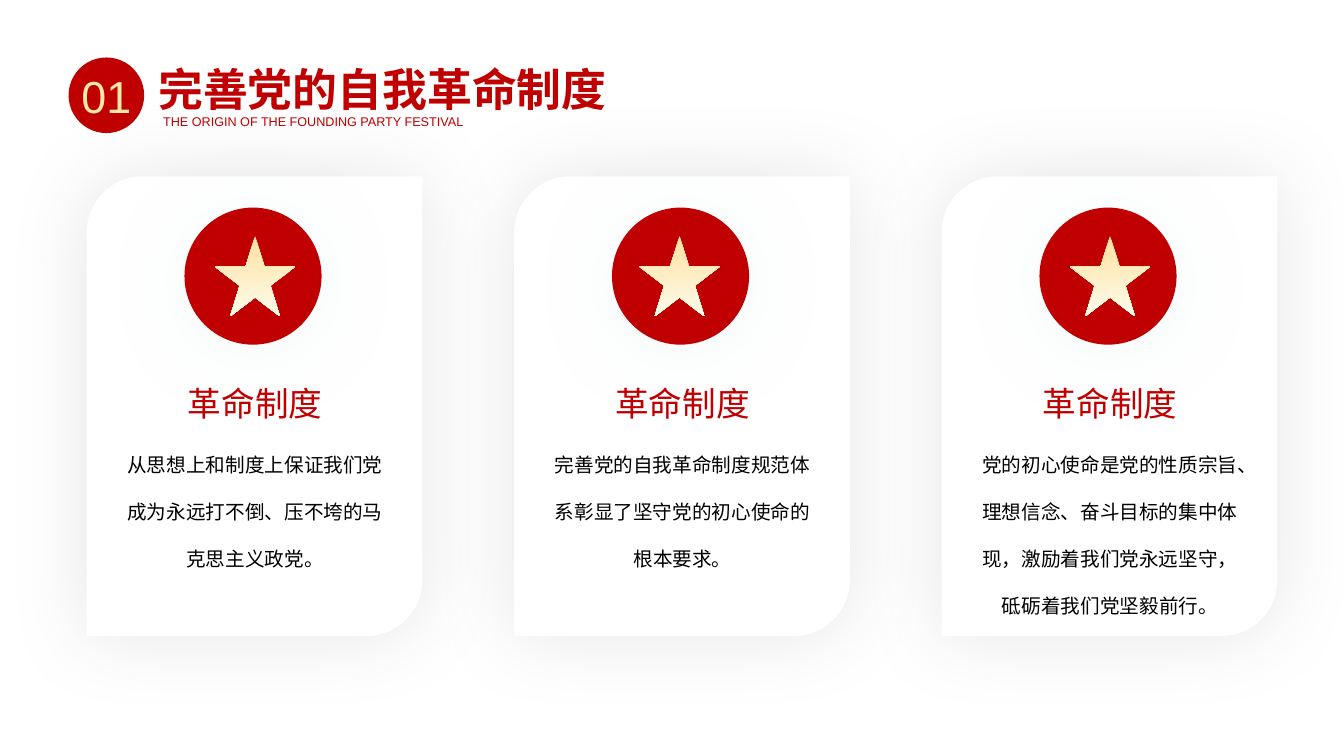
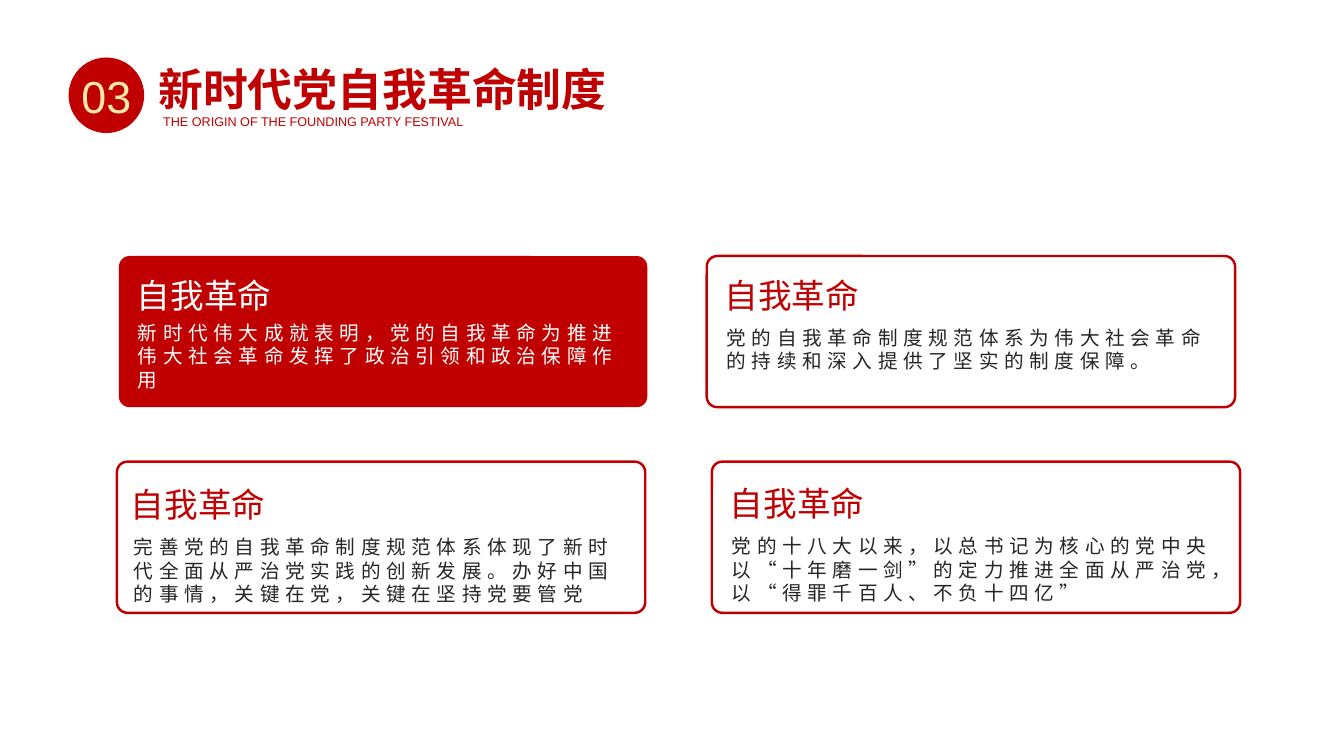
"""Build two slides on the Party's self-revolution system: three cards and four panels."""
from dataclasses import dataclass

from lxml import etree
from pptx import Presentation
from pptx import util as u
from pptx.dml.color import RGBColor
from pptx.enum import shapes, text
from pptx.oxml.ns import qn

PX = 9144
SLIDE = (1333, 750)


@dataclass(frozen=True)
class Theme:
    font: str = "Arial"
    red: str = "C00000"
    cream: str = "FFE9A8"
    white: str = "FFFFFF"
    black: str = "000000"
    ink: str = "262626"
    star: tuple = ("FFE0A2", "FEFDEB")
    title: int = 32
    heading: int = 24
    body: int = 14
    caption: int = 9
    outline: float = 1.75
    card_shadow: tuple = ("000000", 10, 60, 0, 0)
    medal_shadow: tuple = ("C5E3E3", 15, 60, 5, 90)


T = Theme()
FORM = shapes.MSO_SHAPE
ALIGN = text.PP_ALIGN

CAPTION = "THE ORIGIN OF THE FOUNDING PARTY FESTIVAL"

CARDS_TITLE = ("01", "完善党的自我革命制度")
CARD_HEADING = "革命制度"
CARDS = [
    ("从思想上和制度上保证我们党成为永远打不倒、压不垮的马克思主义政党。", 127),
    ("完善党的自我革命制度规范体系彰显了坚守党的初心使命的根本要求。", 124),
    ("党的初心使命是党的性质宗旨、理想信念、奋斗目标的集中体现，激励着我们党永远坚守，砥砺着我们党坚毅前行。", 127),
]
CARD_LEFT, CARD_TOP, CARD_STEP = 86, 175, 424

PANELS_TITLE = ("03", "新时代党自我革命制度")
PANEL_HEADING = "自我革命"
PANELS = [
    dict(at=(118, 254), heading=(8, 14), body=(9, 59), solid=True,
         words="新时代伟大成就表明，党的自我革命为推进伟大社会革命发挥了政治引领和政治保障作用"),
    dict(at=(116, 458), heading=(4, 17), body=(7, 68), solid=False,
         words="完善党的自我革命制度规范体系体现了新时代全面从严治党实践的创新发展。办好中国的事情，关键在党，关键在坚持党要管党"),
    dict(at=(701, 254), heading=(8, 14), body=(10, 64), solid=False,
         words="党的自我革命制度规范体系为伟大社会革命的持续和深入提供了坚实的制度保障。"),
    dict(at=(706, 458), heading=(8, 16), body=(10, 67), solid=False,
         words="党的十八大以来，以总书记为核心的党中央以“十年磨一剑”的定力推进全面从严治党，以“得罪千百人、不负十四亿”"),
]


def px(*lengths):
    return [u.Emu(length * PX) for length in lengths]


def apply(target, formats):
    for name, value in formats.items():
        setattr(target, name, value)


def write(shape, words, size, color, align=ALIGN.LEFT, bold=False,
          leading=1.0, tracking=0, anchor=text.MSO_ANCHOR.TOP, inset=(10, 5)):
    frame = shape.text_frame
    side, edge = px(*inset)
    apply(frame, dict(word_wrap=True, auto_size=text.MSO_AUTO_SIZE.NONE,
                      vertical_anchor=anchor, margin_left=side, margin_right=side,
                      margin_top=edge, margin_bottom=edge))
    paragraph = frame.paragraphs[0]
    apply(paragraph, dict(alignment=align, line_spacing=leading))
    run = paragraph.add_run()
    run.text = words
    apply(run.font, dict(name=T.font, size=u.Pt(size), bold=bold))
    run.font.color.rgb = RGBColor.from_string(color)
    if tracking:
        run.font._element.set("spc", str(tracking * 100))


def label(slide, box, words, size, color, **formats):
    write(slide.shapes.add_textbox(*px(*box)), words, size, color, **formats)


def cast_shadow(shape, color, alpha, blur, distance, angle):
    effects = shape._element.spPr.find(qn("a:effectLst"))
    shadow = etree.SubElement(effects, qn("a:outerShdw"), blurRad=str(u.Pt(blur)),
                              dist=str(u.Pt(distance)), dir=str(angle * 60000),
                              algn="ctr", rotWithShape="0")
    tint = etree.SubElement(shadow, qn("a:srgbClr"), val=color)
    etree.SubElement(tint, qn("a:alpha"), val=str(alpha * 1000))


def draw(slide, form, box, fill=None, line=None, shadow=None):
    shape = slide.shapes.add_shape(form, *px(*box))
    shape.shadow.inherit = False
    if fill:
        shape.fill.solid()
        shape.fill.fore_color.rgb = RGBColor.from_string(fill)
    else:
        shape.fill.background()
    if line:
        shape.line.color.rgb = RGBColor.from_string(line)
        shape.line.width = u.Pt(T.outline)
    else:
        shape.line.fill.background()
    if shadow:
        cast_shadow(shape, *shadow)
    return shape


def draw_star(slide, box):
    star = draw(slide, FORM.STAR_5_POINT, box)
    star.fill.gradient()
    star.fill.gradient_angle = 270
    for stop, color in zip(star.fill.gradient_stops, T.star):
        stop.color.rgb = RGBColor.from_string(color)


def start_slide(deck, number, heading):
    slide = deck.slides.add_slide(deck.slide_layouts[5])
    title = slide.shapes.title
    apply(title, dict(zip(("left", "top", "width", "height"), px(147, 56, 512, 64))))
    write(title, heading, T.title, T.red, align=ALIGN.JUSTIFY, bold=True)
    label(slide, (152, 108, 522, 25), CAPTION, T.caption, T.red, align=ALIGN.JUSTIFY)
    badge = draw(slide, FORM.OVAL, (68, 57, 75, 75), fill=T.red)
    write(badge, number, T.title, T.cream, align=ALIGN.CENTER,
          anchor=text.MSO_ANCHOR.MIDDLE, inset=(0, 0))
    return slide


def build_cards(deck):
    slide = start_slide(deck, *CARDS_TITLE)
    for index, (words, star_offset) in enumerate(CARDS):
        left = CARD_LEFT + index * CARD_STEP
        draw(slide, FORM.ROUND_2_DIAG_RECTANGLE, (left, CARD_TOP, 333, 456),
             fill=T.white, shadow=T.card_shadow)
        draw(slide, FORM.OVAL, (left + 97, CARD_TOP + 31, 136, 136),
             fill=T.red, shadow=T.medal_shadow)
        draw_star(slide, (left + star_offset, CARD_TOP + 59, 80, 80))
        label(slide, (left + 55, CARD_TOP + 200, 224, 50), CARD_HEADING,
              T.heading, T.red, align=ALIGN.CENTER)
        label(slide, (left + 29, CARD_TOP + 246, 276, 199), words,
              T.body, T.black, align=ALIGN.CENTER, leading=2.0)


def build_panels(deck):
    slide = start_slide(deck, *PANELS_TITLE)
    for panel in PANELS:
        left, top = panel["at"]
        solid = panel["solid"]
        frame = draw(slide, FORM.ROUNDED_RECTANGLE, (left, top, 524, 150),
                     fill=T.red if solid else None, line=None if solid else T.red)
        frame.adjustments[0] = 0.07
        parts = [
            ("heading", PANEL_HEADING, (167, 50), T.heading, T.red, 0),
            ("body", panel["words"], (506, 81), T.body, T.ink, 4),
        ]
        for part, words, extent, size, color, tracking in parts:
            dx, dy = panel[part]
            label(slide, (left + dx, top + dy, *extent), words, size,
                  T.white if solid else color, tracking=tracking)


def main():
    deck = Presentation()
    deck.slide_width, deck.slide_height = px(*SLIDE)
    build_cards(deck)
    build_panels(deck)
    deck.save("out.pptx")


if __name__ == "__main__":
    main()
